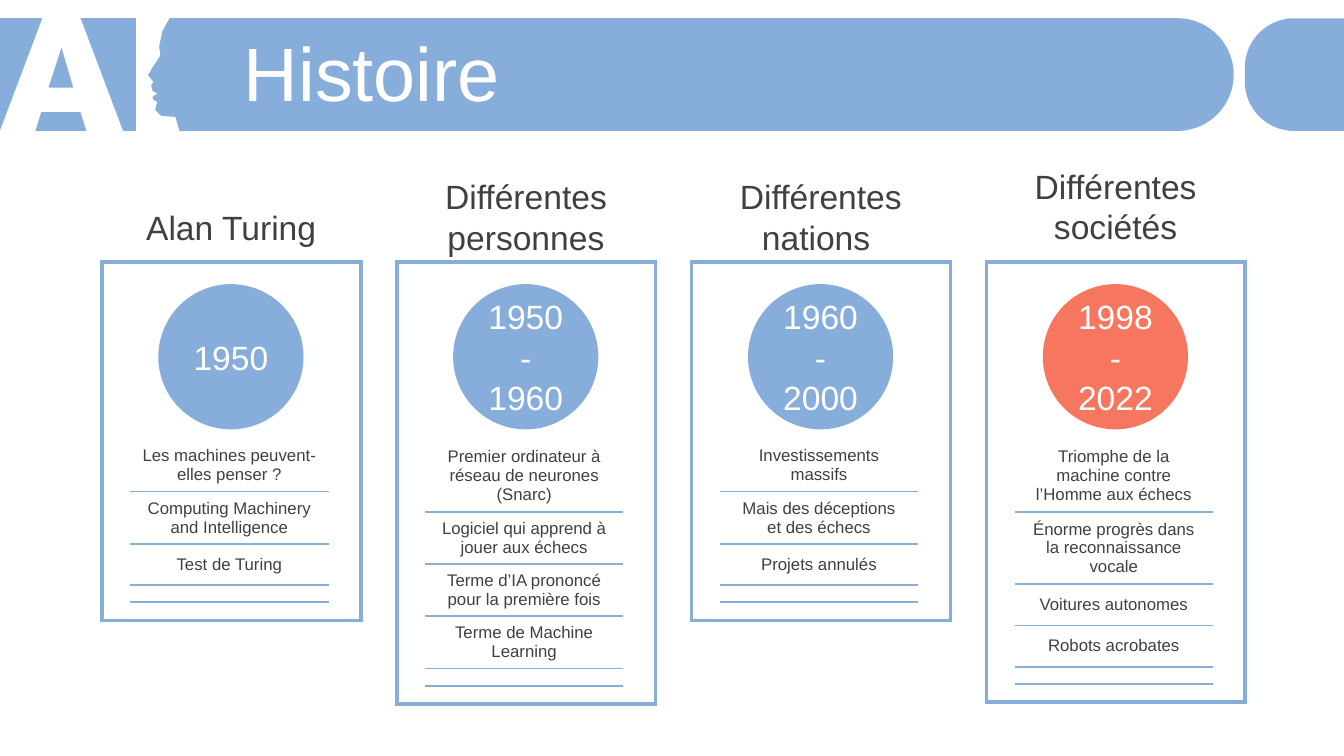
from dataclasses import dataclass

from lxml import etree
from pptx import Presentation
from pptx.dml.color import RGBColor
from pptx.enum.shapes import MSO_SHAPE
from pptx.enum.text import MSO_ANCHOR, MSO_AUTO_SIZE, PP_ALIGN
from pptx.oxml.ns import qn
from pptx.util import Cm, Pt

OVAL = MSO_SHAPE.OVAL
DOME = MSO_SHAPE.ROUND_2_SAME_RECTANGLE
MIDDLE = MSO_ANCHOR.MIDDLE
LEFT = PP_ALIGN.LEFT
CENTER = PP_ALIGN.CENTER
FIXED = MSO_AUTO_SIZE.NONE
PLAIN = "{2D5ABB26-0587-4C30-8999-92F81FD0307C}"


@dataclass(frozen=True)
class Theme:
    font: str = "Arial"
    blue: str = "87ADDB"
    coral: str = "F77660"
    white: str = "FFFFFF"
    dark: str = "404040"
    title: float = 54
    head: float = 24
    body: float = 12
    blank: float = 1
    frame: float = 3
    rule: float = 1.5


THEME = Theme()
LETTER = [
    [(107, 46), (203, 46), (310, 330), (218, 330), (203, 282), (104, 282), (89, 330), (0, 330)],
    [(155, 119), (122, 221), (185, 221)],
]
PROFILE = [[
    (343, 46), (427, 46), (409, 79), (401, 117), (404, 140), (384, 170),
    (373, 190), (386, 206), (381, 216), (384, 229), (396, 236), (384, 244),
    (386, 251), (396, 257), (391, 277), (406, 292), (442, 295), (452, 330), (343, 330),
]]
START, PITCH = 2.57, 7.43
WIDTHS = (0.71, 5.0, 0.81)
CARDS = [
    (5.08, ["Alan Turing"], ["1950"], THEME.blue, [
        ["Les machines peuvent-elles penser\u00a0?"],
        ["Computing Machinery and Intelligence"],
        ["Test de Turing"],
    ]),
    (4.32, ["Différentes", "personnes"], ["1950", "- 1960"], THEME.blue, [
        ["Premier ordinateur à réseau de neurones (Snarc)"],
        ["Logiciel qui apprend à jouer aux échecs"],
        ["Terme d’IA prononcé pour la première fois"],
        ["Terme de Machine Learning"],
    ]),
    (4.32, ["Différentes", "nations "], ["1960-2000"], THEME.blue, [
        ["Investissements massifs"],
        ["Mais des déceptions", "et des échecs"],
        ["Projets annulés"],
    ]),
    (4.06, ["Différentes sociétés"], ["1998", "-", "2022"], THEME.coral, [
        ["Triomphe de la machine contre l’Homme aux échecs"],
        ["Énorme progrès dans la reconnaissance vocale"],
        ["Voitures autonomes"],
        ["Robots acrobates"],
    ]),
]


def assign(item, values):
    for name, value in values.items():
        setattr(item, name, value)


def write(frame, lines, size, color, align=CENTER):
    for i, line in enumerate(lines):
        para = frame.add_paragraph() if i else frame.paragraphs[0]
        para.alignment = align
        run = para.add_run()
        run.text = line
        assign(run.font, {"name": THEME.font, "size": Pt(size)})
        run.font.color.rgb = RGBColor.from_string(color)


def paint(shape, color):
    shape.shadow.inherit = False
    shape.fill.solid()
    shape.fill.fore_color.rgb = RGBColor.from_string(color)
    shape.line.fill.background()


def add_dome(slide, left, width, turn):
    top, thick = 0.46, 2.84
    shape = slide.shapes.add_shape(
        DOME, Cm(left + (width - thick) / 2), Cm(top + (thick - width) / 2), Cm(thick), Cm(width))
    shape.rotation = turn
    shape.adjustments[0] = 0.5
    paint(shape, THEME.blue)


def add_outline(slide, rings):
    first, *rest = rings
    pen = slide.shapes.build_freeform(*first[0], scale=Cm(0.01))
    pen.add_line_segments(first[1:])
    for ring in rest:
        pen.move_to(*ring[0])
        pen.add_line_segments(ring[1:])
    paint(pen.convert_to_shape(), THEME.white)


def add_title(slide, text):
    title = slide.shapes.title
    slide.shapes._spTree.append(title._element)
    assign(title, {"left": Cm(5.89), "top": Cm(0.94), "width": Cm(27.15), "height": Cm(2.01)})
    frame = title.text_frame
    assign(frame, {"vertical_anchor": MIDDLE, "auto_size": FIXED, "word_wrap": True})
    write(frame, [text], THEME.title, THEME.white, LEFT)
    assign(frame.paragraphs[0], {"line_spacing": 0.9, "space_before": Pt(10)})


def add_head(slide, left, top, lines):
    box = slide.shapes.add_textbox(Cm(left), Cm(top), Cm(5.41), Cm(6.35 - top))
    assign(box.text_frame, {"word_wrap": True, "margin_left": 0, "margin_right": 0})
    write(box.text_frame, lines, THEME.head, THEME.dark)


def add_date(slide, left, lines, color):
    disc = slide.shapes.add_shape(OVAL, Cm(left), Cm(7.16), Cm(3.66), Cm(3.66))
    paint(disc, color)
    disc.text_frame.vertical_anchor = MIDDLE
    write(disc.text_frame, lines, THEME.head, THEME.white)


def edge(cell, sides):
    props = cell._tc.get_or_add_tcPr()
    spots = [side for side in "LRTB" if side in sides]
    for i, side in enumerate(spots):
        line = etree.Element(qn(f"a:ln{side}"), w=str(Pt(sides[side])))
        fill = etree.SubElement(line, qn("a:solidFill"))
        etree.SubElement(fill, qn("a:srgbClr"), val=THEME.blue)
        props.insert(i, line)


def sides_of(row, col, last):
    sides = {}
    if col == 0:
        sides["L"] = THEME.frame
    if col == 2 or row == 0:
        sides["R"] = THEME.frame
    if row == 0:
        sides["T"] = THEME.frame
    if row == last:
        sides["B"] = THEME.frame
    if col == 1 and 1 < row < last:
        sides["T"] = THEME.rule
    if col == 1 and 0 < row < last - 1:
        sides["B"] = THEME.rule
    return sides


def add_card(slide, left, facts):
    heights = [4.47] + [1.04] * len(facts) + [0.43, 0.46]
    last = len(heights) - 1
    frame = slide.shapes.add_table(
        len(heights), 3, Cm(left), Cm(6.6), Cm(sum(WIDTHS)), Cm(sum(heights)))
    table = frame.table
    assign(table, {"first_row": False, "horz_banding": False})
    table._tbl.tblPr.find(qn("a:tableStyleId")).text = PLAIN
    for col, width in zip(table.columns, WIDTHS):
        col.width = Cm(width)
    for r, height in enumerate(heights):
        table.rows[r].height = Cm(height)
        for c in range(3):
            cell = table.cell(r, c)
            cell.fill.background()
            edge(cell, sides_of(r, c, last))
            full = c == 1 and 0 < r <= len(facts)
            side, end = (Cm(0.3), Cm(0.15)) if full else (0, 0)
            assign(cell, {"margin_left": side, "margin_right": side, "margin_top": end,
                          "margin_bottom": end, "vertical_anchor": MIDDLE})
            if full:
                write(cell.text_frame, facts[r - 1], THEME.body, THEME.dark)
            else:
                mark = etree.SubElement(cell.text_frame.paragraphs[0]._p, qn("a:endParaRPr"))
                mark.set("sz", str(int(THEME.blank * 100)))
    table.cell(0, 0).merge(table.cell(0, 2))
    for c in (0, 2):
        table.cell(2, c).merge(table.cell(len(facts), c))


def main():
    deck = Presentation()
    assign(deck, {"slide_width": Cm(33.87), "slide_height": Cm(19.05)})
    slide = deck.slides.add_slide(deck.slide_layouts[5])
    add_dome(slide, 0, 31.09, 90)
    add_dome(slide, 31.37, 2.5, 270)
    add_outline(slide, LETTER)
    add_outline(slide, PROFILE)
    add_title(slide, "Histoire")
    for i, (top, head, date, color, facts) in enumerate(CARDS):
        left = START + i * PITCH
        add_head(slide, left + 0.55, top, head)
        add_card(slide, left, facts)
        add_date(slide, left + 1.42, date, color)
    deck.save("out.pptx")


if __name__ == "__main__":
    main()
